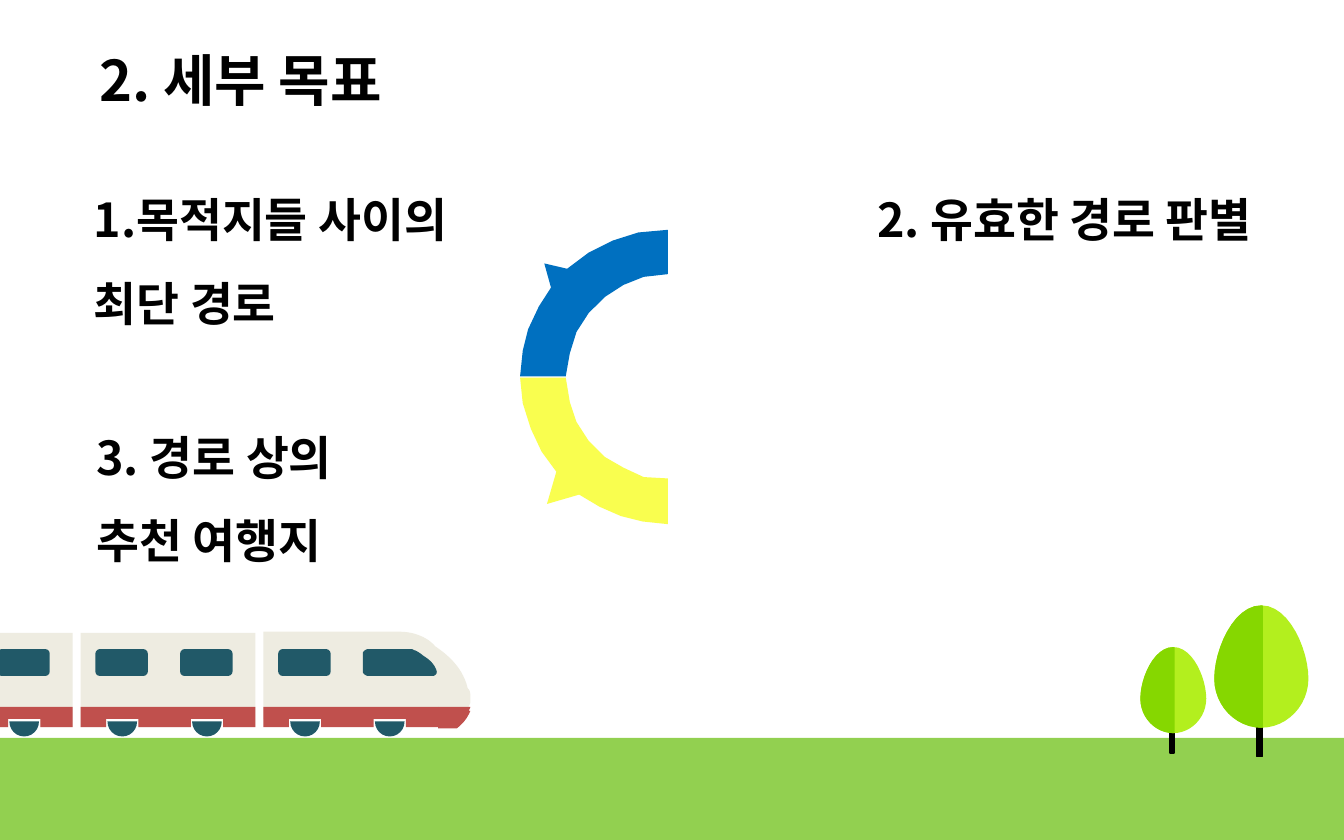
"""Build the detailed-goals slide with its train, trees and ring."""
from dataclasses import dataclass

from lxml import etree
from pptx import Presentation
from pptx.dml.color import RGBColor
from pptx.enum import shapes, text
from pptx.oxml.ns import qn
from pptx import util as u

COLS, ROWS = 1000, 625
CELL = u.Inches(10) // COLS
FONT = "Noto Sans CJK KR"
BLACK, GRASS, BLUE, YELLOW = "000000", "92D050", "0070C0", "F9FE4F"
CREAM, RED, TEAL = "EEECE1", "C0504D", "215968"
LEAF_LIGHT, LEAF_DARK = "B3EF1E", "86D700"
CAR_PITCH, CAR_WIDTH = 136, 130
BODY_TOP, STRIPE_TOP, NOTCH_TOP, BODY_BOTTOM = 471, 526, 535, 541
BAY_OFFSETS = (11, 74)


@dataclass
class Box:
    """Place and size in grid columns and rows."""
    col: float
    row: float
    cols: float
    rows: float

    def emu(self) -> list[int]:
        """Return left, top, width and height in EMU."""
        return [round(n * CELL) for n in (self.col, self.row, self.cols, self.rows)]

    def at(self, points: list[tuple]) -> list[tuple]:
        """Turn shares of this box into grid points."""
        return [tuple(self.row + n * self.rows if i % 2 else self.col + n * self.cols
                      for i, n in enumerate(point)) for point in points]


@dataclass
class Label:
    """Text lines with their box and format."""
    lines: list[str]
    box: Box
    size: int = 25
    spacing: float = 1.5


LABELS = [
    Label(["1.목적지들 사이의", "최단 경로"], Box(60, 116, 336, 130)),
    Label(["3. 경로 상의", "추천 여행지"], Box(62, 293, 336, 130)),
    Label(["2. 유효한 경로 판별"], Box(643, 116, 336, 67)),
    Label(["2. 세부 목표"], Box(64, 29, 357, 61), size=30, spacing=1.0),
]
TREES = [Box(849, 482, 48, 63), Box(904, 451, 69, 90)]

UPPER_ARC = [(497, 171), (497, 204), (479, 206), (464, 212), (450, 221), (438, 233),
             (429, 247), (424, 263), (421, 280), (387, 280), (389, 261), (393, 245),
             (401, 228), (410, 214), (405, 196), (422, 200), (438, 188), (456, 179),
             (475, 173)]
LOWER_ARC = [(387, 281), (421, 281), (424, 299), (429, 314), (438, 328), (450, 340),
             (464, 348), (479, 355), (497, 356), (497, 390), (478, 388), (462, 384),
             (446, 377), (431, 368), (407, 375), (414, 351), (403, 336), (395, 319),
             (389, 300)]
ENGINE = [(196, 470), (297, 470), (308, 470, 318, 474, 324, 481),
          (336, 489, 345, 499, 348, 512), (350, 514, 350, 516, 350, 518), (350, 523),
          (348, 528, 345, 532, 340, 535), (196, 535)]
ENGINE_WINDOW = [(274, 483), (306, 483), (307, 483, 308, 484, 309, 484),
                 (311, 485, 314, 487, 315, 488), (320, 491, 324, 495, 325, 500),
                 (325, 502, 323, 503, 322, 503), (274, 503),
                 (272, 503, 270, 501, 270, 500), (270, 486),
                 (270, 485, 272, 483, 274, 483)]
NOSE = [(326, 526), (350, 526), (350, 527, 349, 528, 349, 529), (350, 529),
        (348, 534, 345, 538, 340, 542), (326, 542)]
CROWN_RIGHT = [(.5, 0), (.8, 0, 1, .37, 1, .6), (1, .82, .77, 1, .5, 1)]
CROWN_LEFT = [(.23, 1, 0, .82, 0, .6), (0, .37, .2, 0, .5, 0)]
CROWN_HALF = [(.51, 0), (.51, 1), (.5, 1)]


def rgb(value: str) -> RGBColor:
    """Convert a hex string to a colour."""
    return RGBColor.from_string(value)


def paint(sp, fill: str, line: str | None = None) -> None:
    """Give a shape a flat fill, with a hairline if asked."""
    sp.shadow.inherit = False
    sp.fill.solid()
    sp.fill.fore_color.rgb = rgb(fill)
    if line:
        sp.line.color.rgb = rgb(line)
        sp.line.width = 0
    else:
        sp.line.fill.background()


def add_preset(slide, kind, box: Box, fill: str, line: str | None = None):
    """Add a painted preset shape."""
    sp = slide.shapes.add_shape(kind, *box.emu())
    paint(sp, fill, line)
    return sp


def flatten(outline: list[tuple], steps: int = 12) -> list[tuple]:
    """Sample the cubic curves of an outline into points."""
    points = []
    for item in outline:
        if len(item) == 2:
            points.append(item)
            continue
        ends = [points[-1], item[:2], item[2:4], item[4:]]
        for step in range(1, steps + 1):
            t = step / steps
            weights = ((1 - t) ** 3, 3 * t * (1 - t) ** 2, 3 * t * t * (1 - t), t ** 3)
            points.append(tuple(sum(w * e[axis] for w, e in zip(weights, ends))
                                for axis in (0, 1)))
    return points


def add_outline(slide, outline: list[tuple], fill: str, line: str | None = None) -> None:
    """Add a closed freeform given in grid points."""
    points = [(round(x * CELL), round(y * CELL)) for x, y in flatten(outline)]
    builder = slide.shapes.build_freeform(*points[0])
    builder.add_line_segments(points[1:], close=True)
    paint(builder.convert_to_shape(), fill, line)


def add_text(slide, lines: list[str], *, box: Box, size: int, spacing: float) -> None:
    """Add bold justified lines of text."""
    tf = slide.shapes.add_textbox(*box.emu()).text_frame
    tf.word_wrap = True
    tf.auto_size = text.MSO_AUTO_SIZE.SHAPE_TO_FIT_TEXT
    for i, line in enumerate(lines):
        p = tf.add_paragraph() if i else tf.paragraphs[0]
        p.alignment = text.PP_ALIGN.JUSTIFY
        p.line_spacing = spacing
        r = p.add_run()
        r.text = line
        r.font.size, r.font.bold, r.font.name = u.Pt(size), True, FONT
        r.font.color.rgb = rgb(BLACK)
        etree.SubElement(r.font._element, qn("a:ea"), typeface=FONT)


def car_outline(left: float, top: float) -> list[tuple]:
    """Outline a car part with notches above its wheels."""
    right = left + CAR_WIDTH
    points = [(left, top), (right, top), (right, BODY_BOTTOM)]
    for bay in reversed(BAY_OFFSETS):
        start = left + bay + 8
        points += [(start + 24, BODY_BOTTOM), (start + 24, NOTCH_TOP),
                   (start, NOTCH_TOP), (start, BODY_BOTTOM)]
    return points + [(left, BODY_BOTTOM)]


def add_car(slide, left: float, engine: bool) -> None:
    """Add a train car with its stripe, windows and wheels."""
    add_outline(slide, ENGINE if engine else car_outline(left, BODY_TOP), CREAM)
    add_outline(slide, car_outline(left, STRIPE_TOP), RED)
    for i, bay in enumerate(BAY_OFFSETS):
        col = left + bay
        if col + 39 < 0:
            continue
        if engine and i:
            add_outline(slide, ENGINE_WINDOW, TEAL)
        else:
            add_preset(slide, shapes.MSO_SHAPE.ROUNDED_RECTANGLE, Box(col, 483, 39, 20), TEAL)
        wheel = add_preset(slide, shapes.MSO_SHAPE.CHORD, Box(col + 9, 526, 22, 22), TEAL)
        wheel.adjustments[0], wheel.adjustments[1] = 215.19, 108.56
    if engine:
        add_outline(slide, NOSE, RED)


def add_tree(slide, crown: Box) -> None:
    """Add a trunk and a two-tone crown."""
    trunk = Box(crown.col + .45 * crown.cols, crown.row + .99 * crown.rows,
                .06 * crown.cols, .255 * crown.rows)
    add_preset(slide, shapes.MSO_SHAPE.RECTANGLE, trunk, BLACK, BLACK)
    add_outline(slide, crown.at(CROWN_RIGHT + CROWN_LEFT), LEAF_LIGHT, LEAF_LIGHT)
    add_outline(slide, crown.at(CROWN_HALF + CROWN_LEFT), LEAF_DARK, LEAF_DARK)


def main() -> None:
    """Build and save the slide."""
    prs = Presentation()
    prs.slide_width, prs.slide_height = COLS * CELL, ROWS * CELL
    slide = prs.slides.add_slide(prs.slide_layouts[6])
    add_preset(slide, shapes.MSO_SHAPE.RECTANGLE, Box(0, 549, COLS, 76), GRASS)
    add_outline(slide, UPPER_ARC, BLUE)
    add_outline(slide, LOWER_ARC, YELLOW)
    for label in LABELS:
        add_text(slide, label.lines, box=label.box, size=label.size, spacing=label.spacing)
    for crown in TREES:
        add_tree(slide, crown)
    for i in range(3):
        add_car(slide, -76 + i * CAR_PITCH, engine=i == 2)
    prs.save("out.pptx")


if __name__ == "__main__":
    main()
